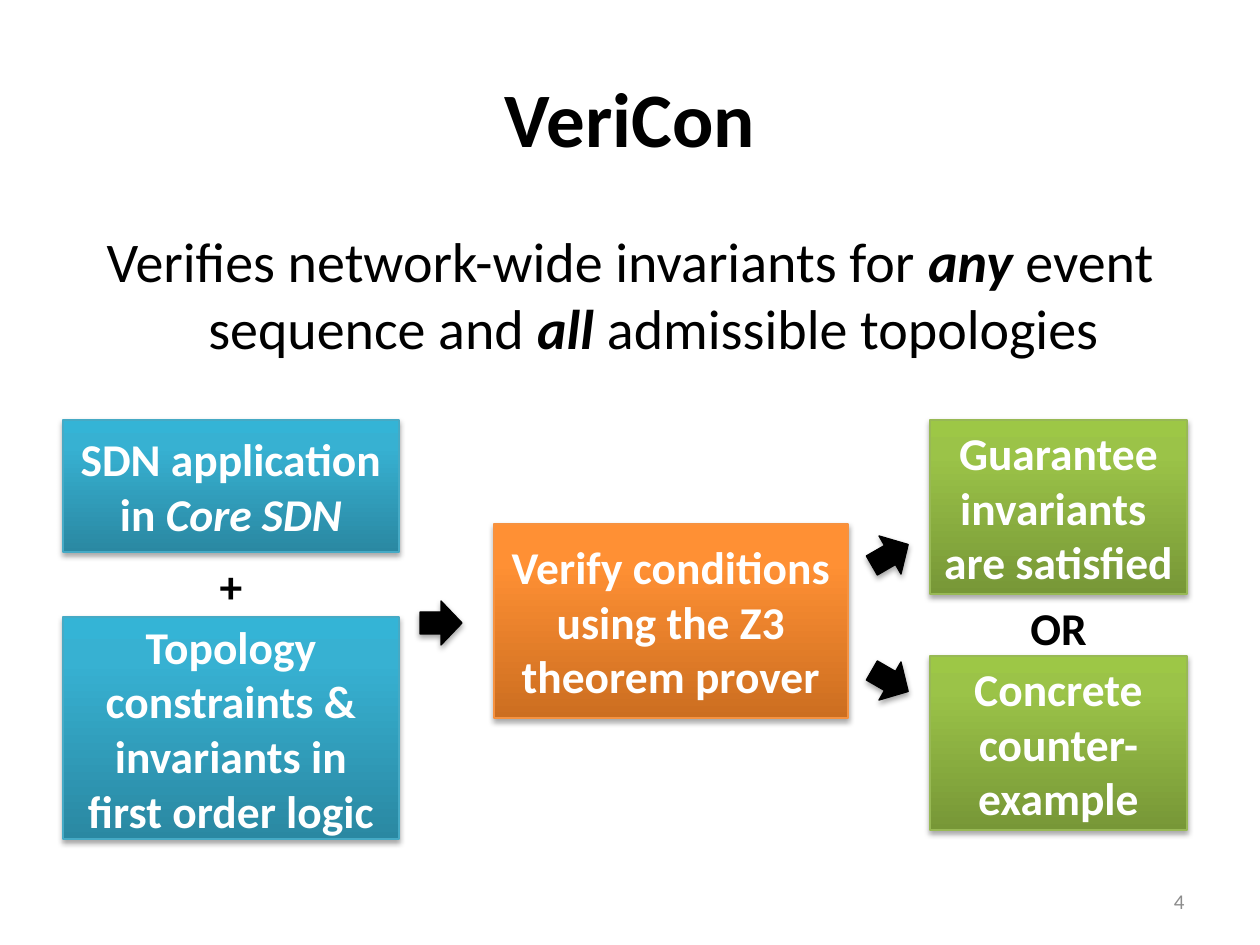
import pptx
import pptx.util
import pptx.dml.color
import pptx.enum.shapes
import pptx.enum.text
import pptx.oxml
import pptx.oxml.ns

RGB = pptx.dml.color.RGBColor
SHAPE = pptx.enum.shapes.MSO_SHAPE
ALIGN = pptx.enum.text.PP_ALIGN
ANCHOR = pptx.enum.text.MSO_ANCHOR
Pt = pptx.util.Pt

PX = 914400 / 126
FONT = "Calibri"
BLACK = RGB(0x00, 0x00, 0x00)
WHITE = RGB(0xFF, 0xFF, 0xFF)
GRAY = RGB(0x8C, 0x8C, 0x8C)

# Each theme holds the outline, then the gradient from bottom to top.
BLUE = [RGB(0x46, 0xAA, 0xC5), RGB(0x2A, 0x88, 0xA2),
        RGB(0x37, 0xB1, 0xD2), RGB(0x34, 0xB4, 0xD6)]
GREEN = [RGB(0x98, 0xB9, 0x55), RGB(0x77, 0x97, 0x37),
         RGB(0x9B, 0xC3, 0x48), RGB(0x9D, 0xC7, 0x46)]
ORANGE = [RGB(0xF6, 0x92, 0x40), RGB(0xCC, 0x6E, 0x20),
          RGB(0xFF, 0x90, 0x34), RGB(0xFF, 0x91, 0x36)]
STOPS = [0, 80, 100]


def emu(*sizes):
    return [pptx.util.Emu(round(size * PX)) for size in sizes]


def write(frame, parts, size, color, bold=False, align=ALIGN.CENTER):
    """Fill a frame with one paragraph; every second part is emphasised."""
    frame.word_wrap = True
    para = frame.paragraphs[0]
    para.text = parts[0]
    para.alignment = align
    for part in parts[1:]:
        para.add_run().text = part
    strong = parts[1::2]
    for run in para.runs:
        font = run.font
        font.name, font.size = FONT, Pt(size)
        font.color.rgb = color
        font.bold = bold or run.text in strong
        font.italic = run.text in strong
    return para


def shade(shape):
    """Give a shape a soft shadow below it."""
    shape.shadow.inherit = False
    effects = shape._element.spPr.find(pptx.oxml.ns.qn("a:effectLst"))
    effects.append(pptx.oxml.parse_xml(
        f'<a:outerShdw {pptx.oxml.ns.nsdecls("a")} blurRad="40000" '
        'dist="23000" dir="5400000" rotWithShape="0">'
        '<a:srgbClr val="000000"><a:alpha val="35000"/></a:srgbClr>'
        '</a:outerShdw>'))


def blend(shape, colors):
    """Fill a shape with a gradient that runs upward."""
    shape.fill.gradient()
    shape.fill.gradient_angle = 90
    stops = "".join(
        f'<a:gs pos="{pos * 1000}"><a:srgbClr val="{color}"/></a:gs>'
        for pos, color in zip(STOPS, colors))
    old = shape._element.spPr.find(".//" + pptx.oxml.ns.qn("a:gsLst"))
    old.getparent().replace(old, pptx.oxml.parse_xml(
        f'<a:gsLst {pptx.oxml.ns.nsdecls("a")}>{stops}</a:gsLst>'))


def card(slide, box, parts, theme):
    shape = slide.shapes.add_shape(SHAPE.RECTANGLE, *emu(*box))
    blend(shape, theme[1:])
    shape.line.color.rgb = theme[0]
    shape.line.width = Pt(0.75)
    shade(shape)
    shape.text_frame.vertical_anchor = ANCHOR.MIDDLE
    write(shape.text_frame, parts, 26, WHITE, bold=True)


def label(slide, box, text):
    frame = slide.shapes.add_textbox(*emu(*box)).text_frame
    frame.margin_left, frame.margin_right, frame.margin_bottom = emu(38, 38, 32)
    write(frame, [text], 26, BLACK, bold=True)


def arrow(slide, left, top, turn=0):
    shape = slide.shapes.add_shape(SHAPE.RIGHT_ARROW, *emu(left, top, 42, 44))
    shape.rotation = turn
    shape.fill.solid()
    shape.fill.fore_color.rgb = BLACK
    shape.line.color.rgb = BLACK
    shape.line.width = Pt(0.75)
    shade(shape)


def head(slide, box):
    title = slide.shapes.title
    title.left, title.top, title.width, title.height = emu(*box)
    title.text_frame.vertical_anchor = ANCHOR.MIDDLE
    write(title.text_frame, ["VeriCon"], 44, BLACK, bold=True)


def claim(slide, box):
    frame = slide.shapes.add_textbox(*emu(*box)).text_frame
    para = write(frame, ["Verifies network-wide invariants for ", "any",
                         " event sequence and ", "all",
                         " admissible topologies"], 32, BLACK)
    props = para._p.get_or_add_pPr()
    props.set("marL", "342900")
    props.set("indent", "-342900")


def stack(slide, box, first, second, word, theme):
    """Place two cards at the ends of a column and a word between them."""
    left, top, width, height = box
    (high, above), (low, below) = first, second
    card(slide, (left, top, width, high), above, theme)
    card(slide, (left, top + height - low, width, low), below, theme)
    label(slide, (left, top + high, width, 93), word)


def flow(slide, box):
    """Draw the inputs, the prover and the two outcomes."""
    left, top, width, height = box
    stack(slide, (left, top, 336, height),
          (132, ["SDN application in ", "Core SDN"]),
          (222, ["Topology constraints & invariants in first order logic"]),
          "+", BLUE)
    card(slide, (left + 431, top + 104, 354, 194),
         ["Verify conditions using the Z3 theorem prover"], ORANGE)
    stack(slide, (left + width - 257, top, 257, 410),
          (174, ["Guarantee invariants \vare satisfied"]),
          (174, ["Concrete counter-example"]),
          "OR", GREEN)
    arrow(slide, left + 357, top + 181)
    arrow(slide, left + 806, top + 113, -30)
    arrow(slide, left + 806, top + 239, 30)


def foot(slide, box):
    frame = slide.shapes.add_textbox(*emu(*box)).text_frame
    frame.vertical_anchor = ANCHOR.MIDDLE
    write(frame, ["4"], 12, GRAY, align=ALIGN.RIGHT)


def main():
    deck = pptx.Presentation()
    deck.slide_width, deck.slide_height = emu(1260, 945)
    slide = deck.slides.add_slide(deck.slide_layouts[5])
    head(slide, (63, 38, 1134, 157))
    claim(slide, (63, 220, 1134, 624))
    flow(slide, (63, 420, 1124, 419))
    foot(slide, (903, 876, 294, 50))
    deck.save("out.pptx")


if __name__ == "__main__":
    main()
